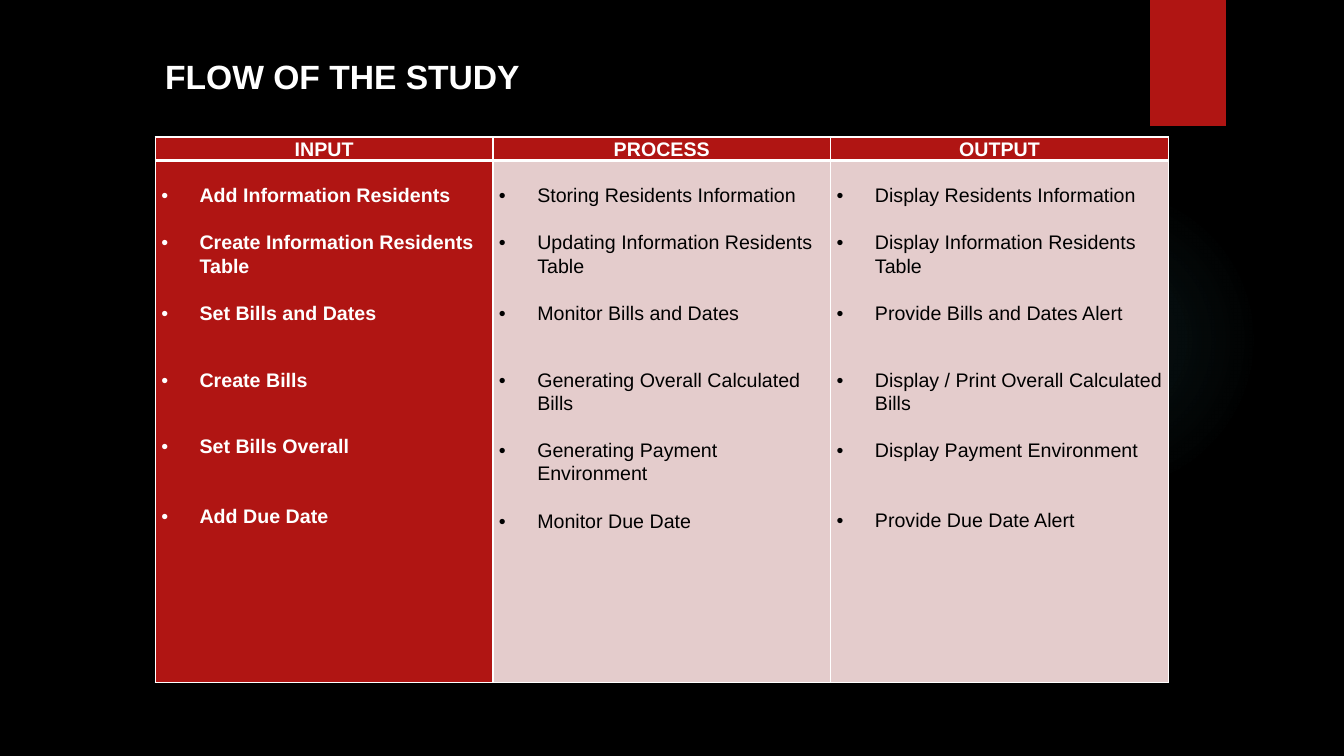
"""Build the slide that shows the flow of the study as a table."""
from dataclasses import dataclass

from lxml.etree import SubElement as sub
from pptx import Presentation
from pptx.dml.color import RGBColor
from pptx.enum.shapes import MSO_SHAPE as Form
from pptx.enum.text import MSO_ANCHOR as Anchor, PP_ALIGN as Align
from pptx.oxml import parse_xml
from pptx.oxml.ns import qn
from pptx.util import Emu, Inches, Pt

WIDE, HIGH = Inches(13.333), Inches(7.5)
RED = RGBColor(0xB0, 0x15, 0x13)
PINK = RGBColor(0xE4, 0xCC, 0xCC)
TEAL = RGBColor(0x50, 0xB9, 0xC1)
WHITE = RGBColor(0xFF, 0xFF, 0xFF)
BLACK = RGBColor(0, 0, 0)
SPACE = "http://schemas.openxmlformats.org/drawingml/2006/main"
INDENT = Inches(0.38)


def across(share: float) -> Emu:
    """Turn a percent of the slide's width into a length."""
    return Emu(round(WIDE * share / 100))


def down(share: float) -> Emu:
    """Turn a percent of the slide's height into a length."""
    return Emu(round(HIGH * share / 100))


@dataclass(frozen=True)
class Box:
    """A frame in percents of the slide's size."""
    left: float
    top: float
    width: float
    height: float

    def frame(self) -> tuple[Emu, Emu, Emu, Emu]:
        """Give the frame as lengths."""
        return across(self.left), down(self.top), across(self.width), down(self.height)


@dataclass(frozen=True)
class Item:
    """A bullet and the gap above it in points."""
    text: str
    gap: float = 17


@dataclass(frozen=True)
class Column:
    """A table column with its head, look and bullets."""
    head: str
    fill: RGBColor
    ink: RGBColor
    bold: bool
    items: tuple[Item, ...]


GLOW = Box(70.58, 24.4, 23.1, 41.07)
TAB = Box(85.58, 0, 5.63, 16.67)
TITLE = Box(11.55, 6.4, 28.65, 6.8)
GRID = Box(11.55, 18.13, 75.38, 72.14)
ROWS = (3.07, 69.07)
COLUMNS = (
    Column("INPUT", RED, WHITE, True, (
        Item("Add Information Residents", 0),
        Item("Create Information Residents Table"),
        Item("Set Bills and Dates"),
        Item("Create Bills", 31),
        Item("Set Bills Overall", 30.5),
        Item("Add Due Date", 33.5))),
    Column("PROCESS", PINK, BLACK, False, (
        Item("Storing Residents Information", 0),
        Item("Updating Information Residents Table"),
        Item("Monitor Bills and Dates"),
        Item("Generating Overall Calculated Bills", 31),
        Item("Generating Payment Environment"),
        Item("Monitor Due Date"))),
    Column("OUTPUT", PINK, BLACK, False, (
        Item("Display Residents Information", 0),
        Item("Display Information Residents Table"),
        Item("Provide Bills and Dates Alert"),
        Item("Display / Print Overall Calculated Bills", 31),
        Item("Display Payment Environment"),
        Item("Provide Due Date Alert", 33.5))),
)


def write(para, text: str, size: float, ink: RGBColor, bold: bool) -> None:
    """Put text with one font into a paragraph."""
    para.text = text
    para.line_spacing = 1.06
    font = para.font
    font.name, font.size, font.bold = "Arial", Pt(size), bold
    font.color.rgb = ink


def add_form(slide, form: Form, box: Box):
    """Add a shape with no line and no shadow."""
    shape = slide.shapes.add_shape(form, *box.frame())
    shape.shadow.inherit = False
    shape.line.fill.background()
    return shape


def add_glow(slide) -> None:
    """Add the faint round glow."""
    shape = add_form(slide, Form.OVAL, GLOW)
    stops = "".join(
        f'<a:gs pos="{spot * 1000}"><a:srgbClr val="{TEAL}">'
        f'<a:alpha val="{alpha * 1000}"/></a:srgbClr></a:gs>'
        for spot, alpha in ((0, 7), (36, 6), (69, 0)))
    fade = parse_xml(
        f'<a:gradFill xmlns:a="{SPACE}"><a:gsLst>{stops}</a:gsLst><a:path path="circle">'
        '<a:fillToRect l="50000" t="50000" r="50000" b="50000"/></a:path></a:gradFill>')
    shape._element.spPr.find(qn("a:prstGeom")).addnext(fade)


def add_tab(slide) -> None:
    """Add the red tab at the top."""
    fill = add_form(slide, Form.RECTANGLE, TAB).fill
    fill.solid()
    fill.fore_color.rgb = RED


def add_title(slide) -> None:
    """Add the title."""
    frame = slide.shapes.add_textbox(*TITLE.frame()).text_frame
    frame.word_wrap = True
    write(frame.paragraphs[0], "FLOW OF THE STUDY", 24, WHITE, True)


def style(cell, fill: RGBColor, top: float, base: float) -> None:
    """Set a cell's fill, margins and white borders."""
    cell.fill.solid()
    cell.fill.fore_color.rgb = fill
    cell.margin_left = cell.margin_right = Inches(0.06)
    cell.margin_top = cell.margin_bottom = 0
    cell.vertical_anchor = Anchor.TOP
    props = cell._tc.get_or_add_tcPr()
    for place, (side, points) in enumerate(zip("LRTB", (1, 1, top, base))):
        props.insert(place, parse_xml(
            f'<a:ln{side} xmlns:a="{SPACE}" w="{Pt(points)}"><a:solidFill>'
            f'<a:srgbClr val="{WHITE}"/></a:solidFill></a:ln{side}>'))


def add_item(para, item: Item, column: Column) -> None:
    """Write one bullet with a hanging indent."""
    props = para._p.get_or_add_pPr()
    props.set("marL", str(INDENT))
    props.set("indent", str(-INDENT))
    sub(props, qn("a:buFont")).set("typeface", "Arial")
    sub(props, qn("a:buChar")).set("char", "•")
    para.space_before = Pt(item.gap)
    write(para, item.text, 14, column.ink, column.bold)


def add_grid(slide) -> None:
    """Add the table of input, process and output."""
    table = slide.shapes.add_table(len(ROWS), len(COLUMNS), *GRID.frame()).table
    table.horz_banding = False
    for row, share in zip(table.rows, ROWS):
        row.height = down(share)
    for place, column in enumerate(COLUMNS):
        table.columns[place].width = across(GRID.width / len(COLUMNS))
        head, body = table.cell(0, place), table.cell(1, place)
        style(head, RED, 1, 3)
        style(body, column.fill, 3, 1)
        para = head.text_frame.paragraphs[0]
        write(para, column.head, 14, WHITE, True)
        para.alignment = Align.CENTER
        body.margin_top = Inches(0.23)
        frame = body.text_frame
        for turn, item in enumerate(column.items):
            add_item(frame.add_paragraph() if turn else frame.paragraphs[0], item, column)


def main() -> None:
    """Build and save the slide."""
    deck = Presentation()
    deck.slide_width, deck.slide_height = WIDE, HIGH
    slide = deck.slides.add_slide(deck.slide_layouts[6])
    back = slide.background.fill
    back.solid()
    back.fore_color.rgb = BLACK
    for draw in (add_glow, add_tab, add_grid, add_title):
        draw(slide)
    deck.save("out.pptx")


if __name__ == "__main__":
    main()
